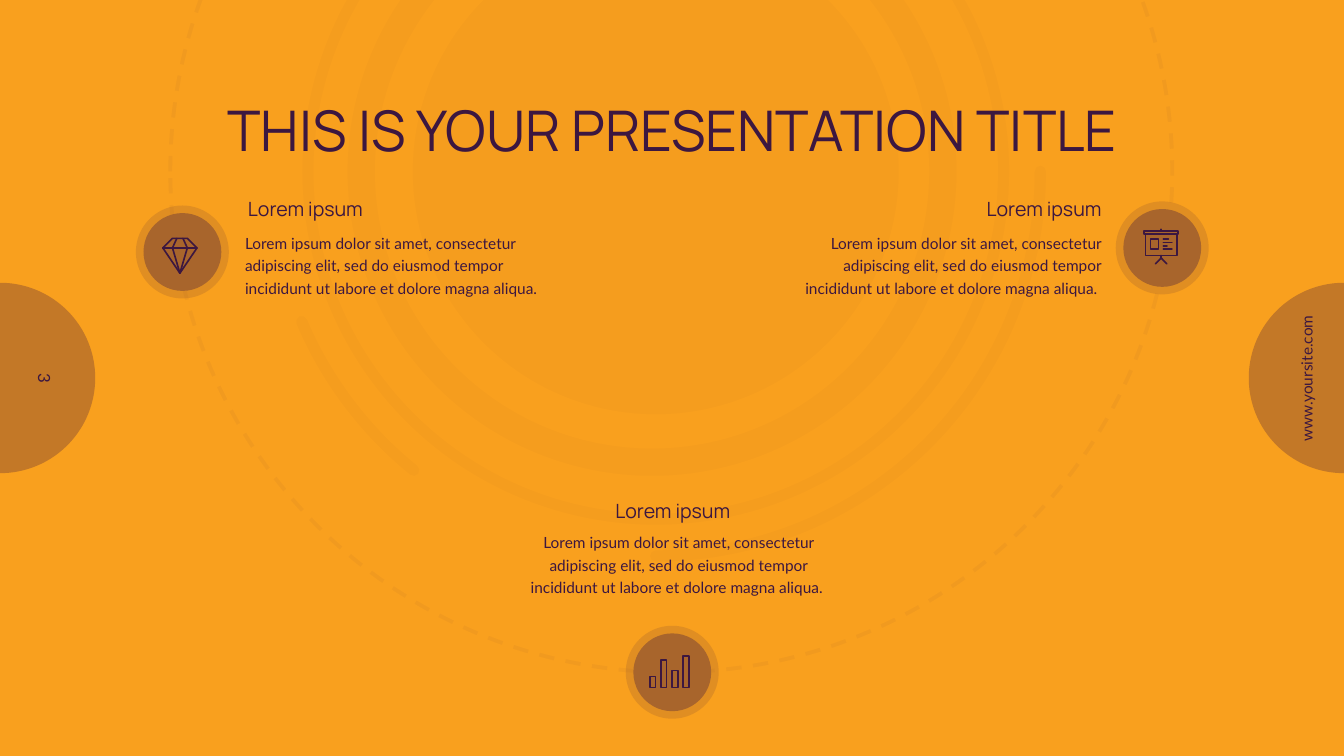
from dataclasses import dataclass
from math import cos, radians, sin

from pptx import Presentation
from pptx.dml.color import RGBColor
from pptx.enum.dml import MSO_LINE
from pptx.enum.shapes import MSO_SHAPE
from pptx.enum.text import MSO_ANCHOR, MSO_AUTO_SIZE, PP_ALIGN
from pptx.oxml.ns import qn
from pptx.shapes.autoshape import Shape
from pptx.shapes.shapetree import GroupShapes, SlideShapes
from pptx.slide import Slide
from pptx.text.text import TextFrame
from pptx.util import Pt

AMBER = RGBColor(0xF9, 0xA0, 0x1E)
BRONZE = RGBColor(0xC3, 0x78, 0x27)
BROWN = RGBColor(0xA8, 0x65, 0x2C)
PLUM = RGBColor(0x3C, 0x17, 0x40)

Point = tuple[float, float]
Stroke = list[Point]
Canvas = SlideShapes | GroupShapes

HEADING = "Lorem ipsum"
BODY = (
    "Lorem ipsum dolor sit amet, consectetur adipiscing elit, sed do eiusmod "
    "tempor incididunt ut labore et dolore magna aliqua."
)
EMBLEM_CENTER = (468.4, 122.4)
EMBLEM_OPACITY = 2


@dataclass(frozen=True)
class Frame:
    left: float
    top: float
    width: float
    height: float


@dataclass(frozen=True)
class Ring:
    center_x: float
    diameter: float
    thickness: float


@dataclass(frozen=True)
class Topic:
    heading: Frame
    body: Frame
    text: str
    align: PP_ALIGN
    badge: Point
    icon_center: Point
    icon: list[Stroke]


@dataclass(frozen=True)
class SideLabel:
    center_x: float
    frame: Frame
    text: str
    size: float
    rotation: float
    wrap: bool
    anchor: MSO_ANCHOR


def rectangle(left: float, top: float, right: float, bottom: float) -> Stroke:
    return [(left, top), (right, top), (right, bottom), (left, bottom), (left, top)]


def arc(start: int, end: int, radius: float) -> Stroke:
    angles = [radians(degree) for degree in range(start, end + 1)]
    return [(radius * cos(angle), radius * sin(angle)) for angle in angles]


DIAMOND = [
    [(-5.4, -12.6), (5.4, -12.6), (12.2, -5.8), (0, 12.2), (-12.2, -5.8), (-5.4, -12.6)],
    [(-12.2, -5.8), (12.2, -5.8)],
    [(-2.2, -12.6), (-5.3, -5.8), (0, 12.2), (5.3, -5.8), (2.2, -12.6)],
]
BARS = [
    rectangle(-13.8 + 7.9 * index, 11.2 - height, -9.8 + 7.9 * index, 11.2)
    for index, height in enumerate((7.9, 19.8, 12.2, 22.3))
]
BOARD = [
    rectangle(-12.2, -11.2, 12.2, -9),
    rectangle(-11.2, -9, 11.2, 6.5),
    rectangle(-7.6, -5.4, -1.8, 1.8),
    *[[(1.6, y), (end, y)] for y, end in ((-5.4, 5.2), (-2.9, 7.7), (-0.4, 4.2), (1.8, 7.7))],
    [(0, -12.2), (0, -11.2)],
    [(0, 6.5), (0, 8.3)],
    [(-4, 12.4), (0, 8.3), (4, 12.4)],
]

RINGS = [Ring(465.8, 434.9, 19.4), Ring(468.4, 504.7, 7.8)]
ARCS = [arc(129, 157, 274.7), arc(0, 90, 274.7)]
SIDE_LABELS = [
    SideLabel(0, Frame(-2.2, 238.3, 68.4, 64.1), "3", 12, 90, True, MSO_ANCHOR.MIDDLE),
    SideLabel(960, Frame(880.6, 259.9, 105.8, 20.9), "www.yoursite.com", 11, 270, False, MSO_ANCHOR.TOP),
]
TOPICS = [
    Topic(Frame(177.1, 140.4, 216, 17.3), Frame(175, 164.2, 219.6, 46.8), BODY,
          PP_ALIGN.LEFT, (130.3, 180), (128.5, 182.9), DIAMOND),
    Topic(Frame(370.8, 356.4, 219.6, 17.3), Frame(375.1, 378, 219.6, 46.8), BODY + " ",
          PP_ALIGN.CENTER, (480.2, 480.2), (478.1, 479.9), BARS),
    Topic(Frame(571, 140.4, 216, 17.3), Frame(567.4, 164.2, 219.6, 46.8), BODY + " ",
          PP_ALIGN.RIGHT, (830.2, 177.1), (829.4, 176), BOARD),
]


def set_opacity(shape: Shape, percent: int) -> None:
    for color in shape.element.spPr.iter(qn("a:srgbClr")):
        color.makeelement(qn("a:alpha"), {})
        alpha = color.makeelement(qn("a:alpha"), {"val": str(percent * 1000)})
        color.append(alpha)


def add_disc(canvas: Canvas, center: Point, diameter: float, color: RGBColor | None,
             kind: MSO_SHAPE = MSO_SHAPE.OVAL) -> Shape:
    left, top = (value - diameter / 2 for value in center)
    disc = canvas.add_shape(kind, Pt(left), Pt(top), Pt(diameter), Pt(diameter))
    disc.shadow.inherit = False
    disc.line.fill.background()
    if color is None:
        disc.fill.background()
    else:
        disc.fill.solid()
        disc.fill.fore_color.rgb = color
    return disc


def add_strokes(canvas: Canvas, center: Point, strokes: list[Stroke], width: float) -> Shape:
    placed = [[(Pt(center[0] + x), Pt(center[1] + y)) for x, y in stroke] for stroke in strokes]
    builder = canvas.build_freeform(*placed[0][0])
    builder.add_line_segments(placed[0][1:], close=False)
    for stroke in placed[1:]:
        builder.move_to(*stroke[0])
        builder.add_line_segments(stroke[1:], close=False)
    drawing = builder.convert_to_shape()
    drawing.shadow.inherit = False
    drawing.fill.background()
    drawing.line.color.rgb = PLUM
    drawing.line.width = Pt(width)
    drawing.line._get_or_add_ln().set("cap", "rnd")
    return drawing


def place(shape: Shape, frame: Frame) -> None:
    shape.left, shape.top = Pt(frame.left), Pt(frame.top)
    shape.width, shape.height = Pt(frame.width), Pt(frame.height)


def write(text_frame: TextFrame, text: str, font: str, size: float, align: PP_ALIGN) -> None:
    text_frame.word_wrap = True
    text_frame.auto_size = MSO_AUTO_SIZE.NONE
    text_frame.vertical_anchor = MSO_ANCHOR.TOP
    text_frame.text = text
    para = text_frame.paragraphs[0]
    para.alignment = align
    para.font.name = font
    para.font.size = Pt(size)
    para.font.color.rgb = PLUM


def clear_margins(text_frame: TextFrame) -> None:
    text_frame.margin_left = text_frame.margin_right = 0
    text_frame.margin_top = text_frame.margin_bottom = 0


def add_text(page: Slide, frame: Frame, text: str, font: str, size: float, align: PP_ALIGN) -> Shape:
    box = page.shapes.add_textbox(0, 0, 0, 0)
    place(box, frame)
    write(box.text_frame, text, font, size, align)
    return box


def add_side_label(page: Slide, label: SideLabel) -> None:
    add_disc(page.shapes, (label.center_x, 270), 136, BRONZE)
    box = add_text(page, label.frame, label.text, "Lato", label.size, PP_ALIGN.CENTER)
    box.rotation = label.rotation
    box.text_frame.word_wrap = label.wrap
    box.text_frame.vertical_anchor = label.anchor


def add_backdrop(page: Slide) -> None:
    orbit = add_disc(page.shapes, (479.5, 122.4), 715.7, None)
    orbit.line.color.rgb = PLUM
    orbit.line.width = Pt(2.75)
    orbit.line.dash_style = MSO_LINE.DASH
    set_opacity(orbit, 4)
    emblem = page.shapes.add_group_shape().shapes
    set_opacity(add_disc(emblem, EMBLEM_CENTER, 347, PLUM), EMBLEM_OPACITY)
    for ring in RINGS:
        donut = add_disc(emblem, (ring.center_x, EMBLEM_CENTER[1]), ring.diameter, PLUM, MSO_SHAPE.DONUT)
        donut.adjustments[0] = ring.thickness / ring.diameter
        set_opacity(donut, EMBLEM_OPACITY)
    for stroke in ARCS:
        set_opacity(add_strokes(emblem, EMBLEM_CENTER, [stroke], 8), EMBLEM_OPACITY)


def add_title(page: Slide) -> None:
    title = page.shapes.title
    place(title, Frame(60.5, 59, 839.5, 53.3))
    write(title.text_frame, "THIS IS YOUR PRESENTATION TITLE", "Manrope", 40, PP_ALIGN.CENTER)
    clear_margins(title.text_frame)
    title.text_frame.paragraphs[0].line_spacing = 1.2
    title.element.getparent().append(title.element)


def add_topic(page: Slide, topic: Topic) -> None:
    heading = add_text(page, topic.heading, HEADING, "Manrope", 14, topic.align)
    body = add_text(page, topic.body, topic.text, "Lato", 11, topic.align)
    body.text_frame.paragraphs[0].line_spacing = Pt(16.1)
    for box in (heading, body):
        clear_margins(box.text_frame)
    badge = page.shapes.add_group_shape().shapes
    set_opacity(add_disc(badge, topic.badge, 66.4, BROWN), 30)
    add_disc(badge, topic.badge, 55.6, BROWN)
    add_strokes(badge, topic.icon_center, topic.icon, 1.15)


def main() -> None:
    deck = Presentation()
    deck.slide_width, deck.slide_height = Pt(960), Pt(540)
    page = deck.slides.add_slide(deck.slide_layouts[5])
    page.background.fill.solid()
    page.background.fill.fore_color.rgb = AMBER
    for label in SIDE_LABELS:
        add_side_label(page, label)
    add_backdrop(page)
    add_title(page)
    for topic in TOPICS:
        add_topic(page, topic)
    deck.save("out.pptx")


if __name__ == "__main__":
    main()
